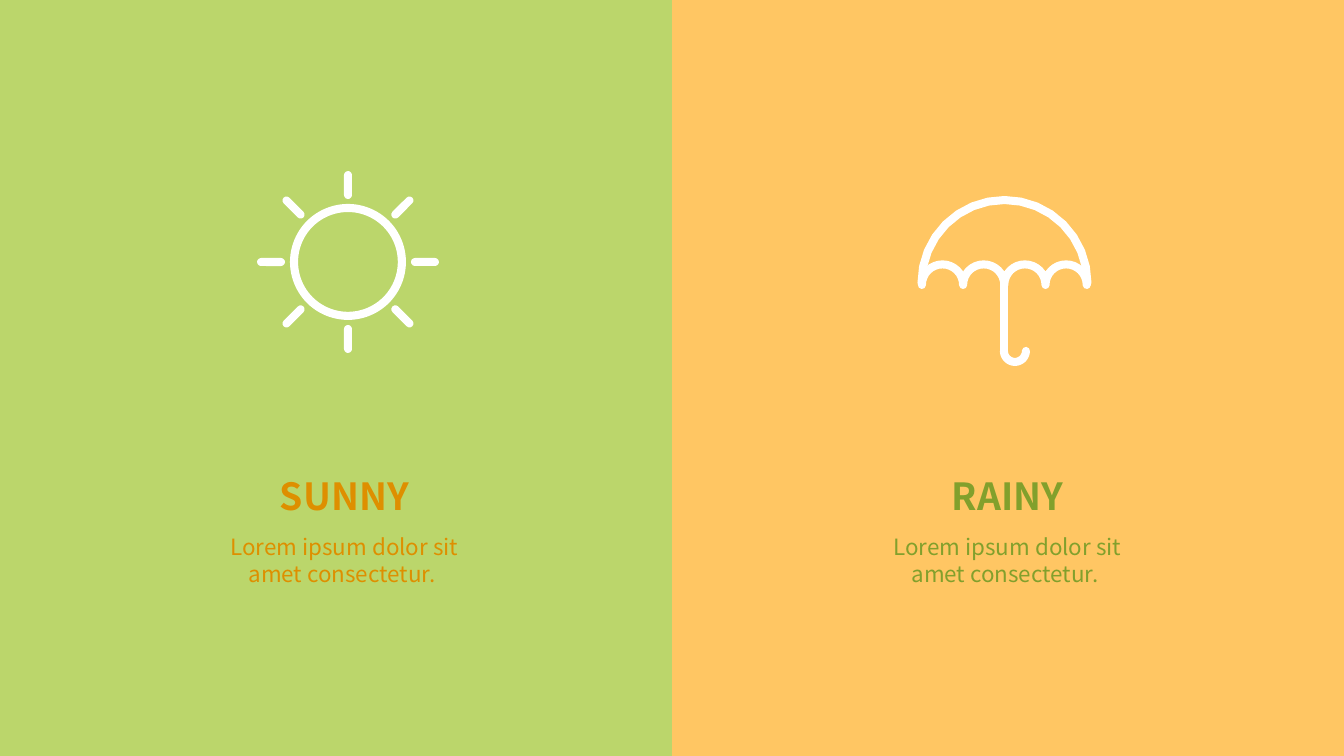
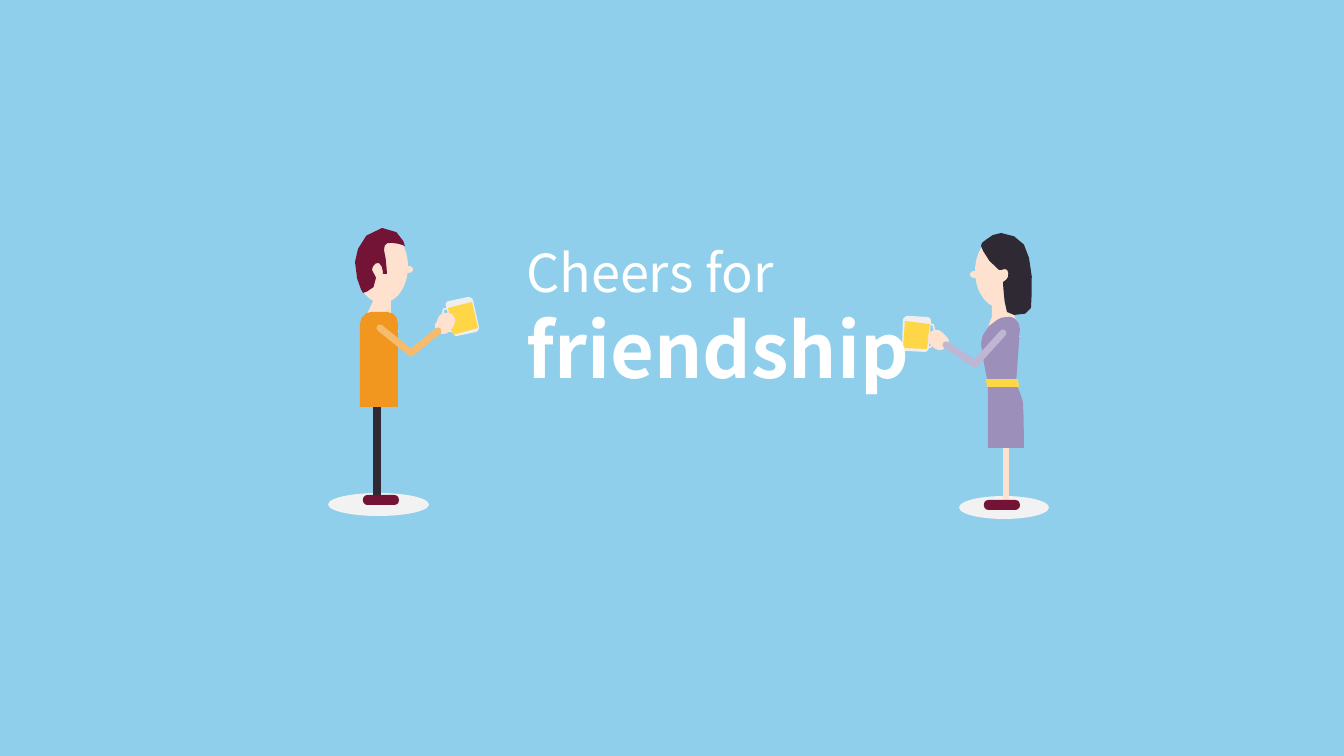
import math

import lxml.etree
import pptx
import pptx.dml.color
import pptx.enum.shapes
import pptx.enum.text
import pptx.oxml.ns
import pptx.util

PX = 914400 / 134.4
FONT = "Noto Sans CJK KR"
WHITE, GREEN, ORANGE, SKY = "FFFFFF", "BBD66B", "FFC663", "8FCFEB"
DARK_ORANGE, DARK_GREEN = "DE8F00", "82A02C"
SKIN, WINE, INK, GLASS, BEER, GROUND = "FFE1D0", "731436", "2F2933", "EEEEEF", "FFD646", "F2F2F2"
LILAC = "9C90BB"
CURVE_STEPS, ARC_STEPS = 3, 16
SHAPE = pptx.enum.shapes.MSO_SHAPE
ANCHOR = pptx.enum.text.MSO_ANCHOR
rgb = pptx.dml.color.RGBColor.from_string
qn = pptx.oxml.ns.qn


def add_preset(s, kind, x, y, w, h, fill, adj=None, angle=0):
    """Add a filled preset shape without outline, placed in pixels."""
    sp = s.shapes.add_shape(kind, *[round(v * PX) for v in (x, y, w, h)])
    sp.shadow.inherit = False
    sp.fill.solid()
    sp.fill.fore_color.rgb = rgb(fill)
    sp.line.fill.background()
    sp.rotation = angle
    if adj is not None:
        sp.adjustments[0] = adj
    return sp


def add_outline(s, path, color, width=None):
    """Draw points and cubic curves: a filled area, or a stroke if width is set."""
    points = [path[0]]
    for step in path[1:]:
        if len(step) == 2:
            points.append(step)
            continue
        x0, y0 = points[-1]
        x1, y1, x2, y2, x3, y3 = step
        for i in range(1, CURVE_STEPS + 1):
            t = i / CURVE_STEPS
            u = 1 - t
            a, b, c, d = u ** 3, 3 * u * u * t, 3 * u * t * t, t ** 3
            points.append((a * x0 + b * x1 + c * x2 + d * x3,
                           a * y0 + b * y1 + c * y2 + d * y3))
    points = [(round(x * PX), round(y * PX)) for x, y in points]
    fb = s.shapes.build_freeform(*points[0], scale=1.0)
    fb.add_line_segments(points[1:], close=width is None)
    sp = fb.convert_to_shape()
    sp.shadow.inherit = False
    if width is None:
        sp.fill.solid()
        sp.fill.fore_color.rgb = rgb(color)
        sp.line.fill.background()
    else:
        sp.fill.background()
        sp.line.color.rgb = rgb(color)
        sp.line.width = pptx.util.Pt(width)
        sp.line._get_or_add_ln().set("cap", "rnd")


prs = pptx.Presentation()
prs.slide_width = pptx.util.Inches(10)
prs.slide_height = round(756 * PX)
slides = []
for background in (ORANGE, SKY):
    s = prs.slides.add_slide(prs.slide_layouts[6])
    s.background.fill.solid()
    s.background.fill.fore_color.rgb = rgb(background)
    slides.append(s)

# Slide 1: sunny and rainy halves
s = slides[0]
add_preset(s, SHAPE.RECTANGLE, -3, 0, 675, 756, GREEN)

sun_x, sun_y = 348, 262
add_preset(s, SHAPE.DONUT, sun_x - 58, sun_y - 58, 116, 116, WHITE, adj=0.07)
for angle in range(0, 360, 45):
    x = sun_x + 77 * math.cos(math.radians(angle))
    y = sun_y + 77 * math.sin(math.radians(angle))
    add_preset(s, SHAPE.ROUNDED_RECTANGLE, x - 14, y - 4, 28, 8, WHITE, 0.5, angle)

# Umbrella arcs: centre, radius, first and last angle in degrees
canopy = [(1004.5, 283, 83, 180, 360)]
scallops = [(942.5 + 41.2 * i, 285, 20.6, 180, 360) for i in range(4)]
hook = [(1015, 351, 11, 180, 0)]
for arcs in (canopy, scallops, hook):
    path = []
    for cx, cy, radius, first, last in arcs:
        for i in range(ARC_STEPS + 1):
            a = math.radians(first + (last - first) * i / ARC_STEPS)
            path.append((cx + radius * math.cos(a), cy + radius * math.sin(a)))
    add_outline(s, path, WHITE, 4.3)
add_outline(s, [(1004, 283), (1004, 351)], WHITE, 4.3)

for x, title, color in ((191, "SUNNY", DARK_ORANGE), (854, "RAINY", DARK_GREEN)):
    for text, y, h, size, bold, anchor in (
            ("Lorem ipsum dolor sit amet consectetur. ", 527, 103, 12, False, ANCHOR.TOP),
            (title, 430, 132, 20, True, ANCHOR.MIDDLE)):
        tb = s.shapes.add_textbox(*[round(v * PX) for v in (x, y, 307, h)])
        tf = tb.text_frame
        tf.word_wrap = True
        tf.vertical_anchor = anchor
        p = tf.paragraphs[0]
        p.alignment = pptx.enum.text.PP_ALIGN.CENTER
        r = p.add_run()
        r.text = text
        r.font.name = FONT
        r.font.size = pptx.util.Pt(size)
        r.font.bold = bold
        r.font.color.rgb = rgb(color)

# Slide 2: two friends raising their mugs
s = slides[1]
man = {
    "ground": (328, 493, 101, 23),
    "handle": [(449, 308), (442, 306, 440, 315, 445, 325), (446, 332, 450, 332, 454, 331)],
    "glass": [(476, 332), (457, 336), (455, 336, 453, 335, 453, 333), (446, 306),
              (445, 304, 446, 301, 449, 301), (468, 297), (470, 297, 472, 298, 473, 300),
              (479, 327), (479, 329, 478, 332, 476, 332)],
    "beer": [(478, 328), (453, 335), (448, 308), (472, 302)],
    "hand": [(453, 327), (450, 331), (446, 335, 442, 335, 438, 332),
             (434, 329, 434, 324, 437, 321), (439, 316), (442, 312, 447, 312, 452, 314),
             (456, 317, 456, 323, 453, 327)],
    "hair": [(387, 274), (383, 274), (383, 274, 383, 265, 379, 263),
             (375, 262, 372, 267, 372, 270), (374, 274, 376, 277, 376, 278),
             (378, 290, 363, 293, 363, 293), (363, 293, 355, 281, 355, 262),
             (356, 251, 362, 231, 382, 228), (401, 227, 405, 246, 405, 246),
             (405, 246, 398, 243, 392, 243), (386, 242, 384, 245, 384, 250),
             (386, 255, 387, 274, 387, 274)],
    "hair color": WINE,
    "leg": (INK, 4.63),
    "clothes": [("F19720", [(398, 407), (398, 324), (398, 317, 394, 312, 387, 312), (371, 312),
                            (366, 312, 360, 317, 360, 324), (360, 407)])],
    "arm": [(380, 328), (411, 353), (438, 331)],
    "arm color": "F6BB6C",
}
woman = {
    "ground": (959, 496, 90, 23),
    "handle": [(927, 323), (936, 321, 936, 333, 934, 340), (933, 348, 930, 348, 926, 347)],
    "glass": [(905, 351), (925, 352), (926, 352, 929, 351, 929, 348), (931, 321),
              (931, 319, 930, 317, 927, 317), (909, 316), (906, 315, 905, 317, 903, 319),
              (902, 347), (901, 348, 903, 351, 905, 351)],
    "beer": [(903, 348), (927, 349), (930, 324), (905, 321)],
    "hand": [(930, 344), (934, 348), (938, 351, 943, 351, 946, 347),
             (950, 344, 950, 339, 946, 336), (942, 332), (939, 329, 934, 329, 930, 332),
             (927, 335, 927, 340, 930, 344)],
    "hair": [(1029, 258), (1027, 242, 1015, 234, 1001, 233), (992, 233, 985, 241, 982, 243),
             (981, 246), (981, 247, 988, 263, 999, 270), (1001, 270),
             (1005, 269), (1008, 269, 1009, 273, 1008, 277),
             (1007, 280, 1003, 282, 1003, 282), (1003, 282, 1004, 306, 1007, 312),
             (1009, 317, 1031, 316, 1031, 308), (1031, 301, 1034, 274, 1029, 258)],
    "hair color": INK,
    "leg": (SKIN, 3.5),
    "clothes": [
        (LILAC, [(988, 384), (988, 384, 982, 355, 981, 344), (980, 337, 988, 324, 997, 320),
                 (1001, 317, 1005, 317, 1011, 317), (1015, 317, 1020, 323, 1020, 329),
                 (1016, 384)]),
        (LILAC, [(988, 383), (1016, 383), (1016, 383, 1021, 394, 1023, 402),
                 (1024, 409, 1024, 448, 1024, 448), (988, 448)]),
        (BEER, [(1019, 387), (987, 387), (986, 379), (1018, 379)])],
    "arm": [(1003, 333), (975, 364), (946, 345)],
    "arm color": "BEB6D2",
}
neck = [(363, 323), (375, 297), (391, 297), (391, 312), (399, 332), (363, 332)]

# The woman's body is the man's, mirrored and a little lower
for friend, axis, side, drop in ((man, 0, 1, 0), (woman, 1383, -1, 5)):
    add_preset(s, SHAPE.OVAL, *friend["ground"], GROUND)
    add_outline(s, friend["handle"], GLASS, 0.88)
    for part, color in (("glass", GLASS), ("beer", BEER), ("hand", SKIN)):
        add_outline(s, friend[part], color)
    add_outline(s, [(axis + side * x, y + drop) for x, y in neck], SKIN)
    for cx, y, w, h in ((382, 230, 52, 73), (409, 266, 8, 7)):
        add_preset(s, SHAPE.OVAL, axis + side * cx - w / 2, y + drop, w, h, SKIN)
    add_outline(s, friend["hair"], friend["hair color"])

    leg_x = axis + side * 377
    color, width = friend["leg"]
    ends = (leg_x, 394 + drop, leg_x, 495 + drop)
    leg = s.shapes.add_connector(pptx.enum.shapes.MSO_CONNECTOR.STRAIGHT,
                                 *[round(v * PX) for v in ends])
    leg.line.color.rgb = rgb(color)
    leg.line.width = pptx.util.Pt(width)
    lxml.etree.SubElement(leg._element.spPr, qn("a:effectLst"))

    add_preset(s, SHAPE.ROUNDED_RECTANGLE, axis + side * 381 - 18, 495 + drop, 36, 10, WINE, 0.45)
    for color, path in friend["clothes"]:
        add_outline(s, path, color)
    add_outline(s, friend["arm"], friend["arm color"], 3.75)

tb = s.shapes.add_textbox(*[round(v * PX) for v in (513, 234, 456, 168)])
tf = tb.text_frame
tf.word_wrap = True
tf.auto_size = pptx.enum.text.MSO_AUTO_SIZE.SHAPE_TO_FIT_TEXT
p = tf.paragraphs[0]
for text, size, bold in (("Cheers for ", 28, False), ("friendship", 40.5, True)):
    r = p.add_run()
    r.text = text
    r.font.name = FONT
    r.font.size = pptx.util.Pt(size)
    r.font.bold = bold
    r.font.color.rgb = rgb(WHITE)

prs.save("out.pptx")
